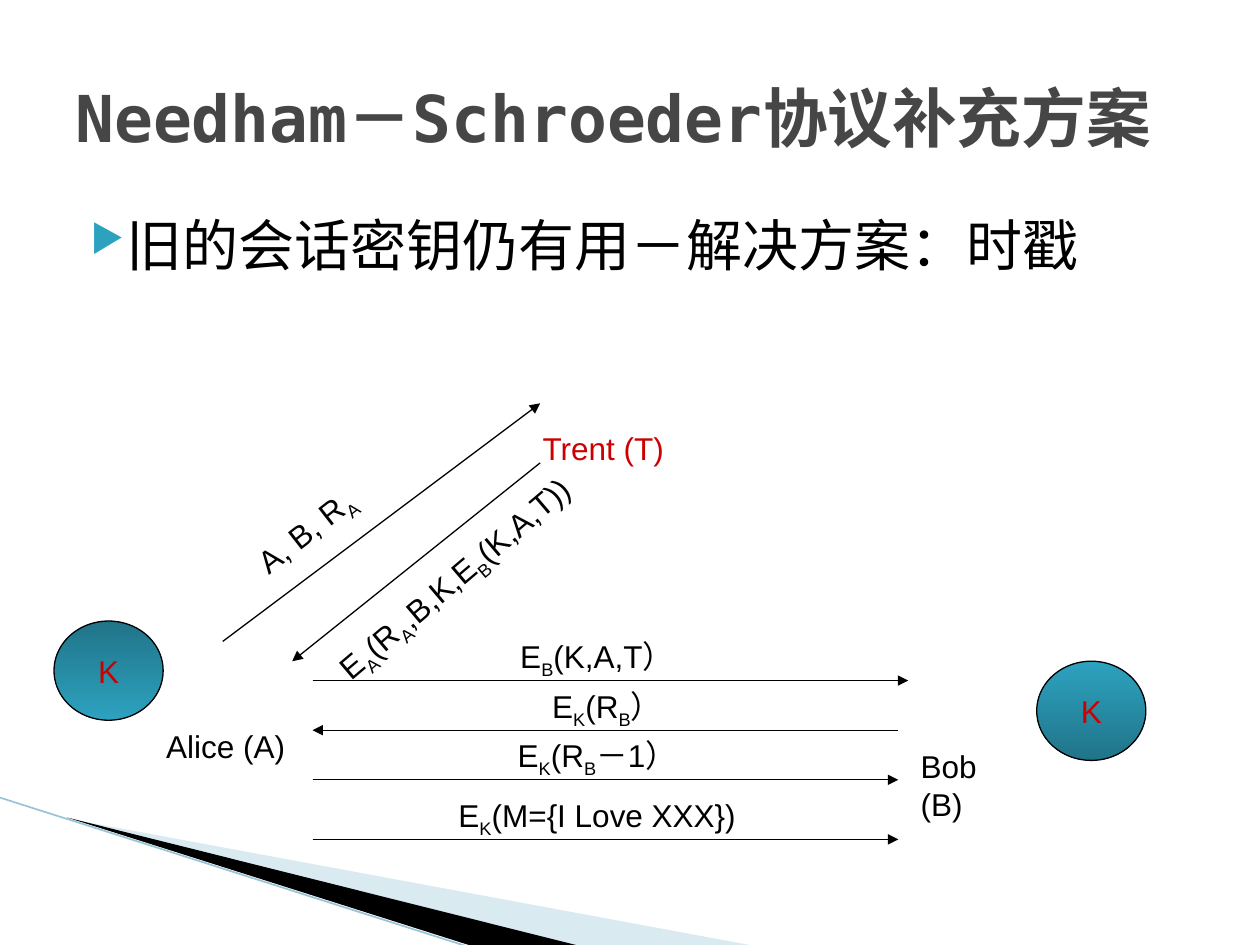
from lxml.etree import SubElement
from pptx import Presentation
from pptx.dml.color import RGBColor
from pptx.enum.shapes import MSO_CONNECTOR, MSO_SHAPE
from pptx.enum.text import MSO_ANCHOR, PP_ALIGN
from pptx.oxml.ns import qn
from pptx.util import Cm, Pt

COLORS = {
    "title": "464646",
    "ink": "000000",
    "accent": "2DA2BF",
    "accent_dark": "207489",
    "pale": "A0CBDC",
    "edge": "97C5D8",
    "red": "CC0000",
}
SANS, MONO = "Arial", "DejaVu Sans Mono"
LABEL_HEIGHT = 1.02


def color(name):
    return RGBColor.from_string(COLORS[name])


def style(paragraph, size=18, name=SANS, ink="ink", bold=False):
    font = paragraph.font
    font.size, font.name, font.bold = Pt(size), name, bold
    font.color.rgb = color(ink)


def add_text(slide, left, top, width, height, text, align=PP_ALIGN.LEFT, rotation=0):
    """Add a text box; every second part between bars is a subscript."""
    box = slide.shapes.add_textbox(Cm(left), Cm(top), Cm(width), Cm(height))
    box.rotation = rotation
    box.text_frame.word_wrap = True
    paragraph = box.text_frame.paragraphs[0]
    paragraph.alignment = align
    for index, part in enumerate(text.split("|")):
        if part:
            run = paragraph.add_run()
            run.text = part
            if index % 2:
                run._r.get_or_add_rPr().set("baseline", "-25000")
    style(paragraph)
    return box


def add_line(slide, start, end, ink="ink", width=0.75, arrow=True):
    points = [Cm(value) for value in (*start, *end)]
    line = slide.shapes.add_connector(MSO_CONNECTOR.STRAIGHT, *points)
    line.line.color.rgb = color(ink)
    line.line.width = Pt(width)
    if arrow:
        SubElement(line.line._get_or_add_ln(), qn("a:tailEnd"), type="triangle")
    SubElement(line._element.spPr, qn("a:effectLst"))


def add_wedge(slide, points, ink, alpha=None):
    corners = [(Cm(x), Cm(y)) for x, y in points]
    builder = slide.shapes.build_freeform(*corners[0])
    builder.add_line_segments(corners[1:], close=True)
    wedge = builder.convert_to_shape()
    wedge.shadow.inherit = False
    wedge.fill.solid()
    wedge.fill.fore_color.rgb = color(ink)
    wedge.line.fill.background()
    if alpha:
        tint = wedge._element.spPr.find(f"{qn('a:solidFill')}/{qn('a:srgbClr')}")
        SubElement(tint, qn("a:alpha"), val=str(alpha * 1000))


def add_corner(slide, left, top):
    """Swoosh in the bottom left corner."""
    def place(*points):
        return [(left + x, top + y) for x, y in points]

    add_wedge(slide, place((1.4, 0.43), (15.11, 2.97), (11.58, 2.97)), "pale", 40)
    add_wedge(slide, place((1.35, 0.4), (11.61, 2.97), (9.45, 2.97)), "ink")
    add_line(slide, *place((0, 0), (9.42, 3)), "edge", 0.95, False)


def add_title(slide, left, top, width, height):
    box = add_text(slide, left, top, width, height, "Needham－Schroeder协议补充方案")
    box.text_frame.vertical_anchor = MSO_ANCHOR.MIDDLE
    style(box.text_frame.paragraphs[0], 36.9, MONO, "title", True)


def add_body(slide, left, top, width, height):
    box = add_text(slide, left, top, width, height, "旧的会话密钥仍有用－解决方案：时戳")
    paragraph = box.text_frame.paragraphs[0]
    properties = paragraph._p.get_or_add_pPr()
    properties.set("marL", str(Cm(1.02)))
    properties.set("indent", str(Cm(-0.71)))
    bullet_color = SubElement(properties, qn("a:buClr"))
    SubElement(bullet_color, qn("a:srgbClr"), val=COLORS["accent"])
    SubElement(properties, qn("a:buSzPct"), val="68000")
    SubElement(properties, qn("a:buChar"), char="▶")
    style(paragraph, 32, MONO)


def add_key(slide, left, top, stops):
    """Round key held by one party."""
    key = slide.shapes.add_shape(MSO_SHAPE.OVAL, Cm(left), Cm(top), Cm(2.2), Cm(2))
    key.shadow.inherit = False
    key.fill.gradient()
    key.fill.gradient_angle = 270
    for stop, name in zip(key.fill.gradient_stops, stops):
        stop.color.rgb = color(name)
    key.line.color.rgb = color("ink")
    key.line.width = Pt(0.75)
    frame = key.text_frame
    frame.word_wrap = False
    frame.vertical_anchor = MSO_ANCHOR.MIDDLE
    paragraph = frame.paragraphs[0]
    paragraph.text = "K"
    paragraph.alignment = PP_ALIGN.CENTER
    style(paragraph, ink="red")


def add_server_exchange(slide, left, top):
    """Alice's request to Trent and his reply."""
    trent = add_text(slide, left + 6.2, top + 0.4, 3.2, LABEL_HEIGHT, "Trent (T)")
    style(trent.text_frame.paragraphs[0], ink="red")
    add_line(slide, (left, top + 4.8), (left + 6.4, top))
    add_text(slide, left + 0.2, top + 1.8, 3.61, LABEL_HEIGHT, "A, B, R|A|", rotation=322)
    add_line(slide, (left + 6.4, top + 1.2), (left + 1.4, top + 5.2))
    add_text(slide, left + 1.4, top + 2.79, 7.06, LABEL_HEIGHT,
             "E|A|(R|A|,B,K,E|B|(K,A,T))", rotation=319.7)


def add_messages(slide, left, top, width):
    """Messages between Alice and Bob, each label 1 cm above its arrow."""
    messages = [  # offset, label shift, extra length, towards Bob, label
        (0, 0, 0.2, True, "E|B|(K,A,T）"),
        (1, 0.2, 0, False, "E|K|(R|B|）"),
        (2, 0, 0, True, "E|K|(R|B|－1）"),
        (3.2, 0, 0, True, "E|K|(M={I Love XXX})"),
    ]
    for offset, shift, extra, to_bob, label in messages:
        ends = [(left, top + offset), (left + width + extra, top + offset)]
        add_line(slide, *(ends if to_bob else reversed(ends)))
        add_text(slide, left + 2.21 + shift, top + offset - 1, 7.06, LABEL_HEIGHT,
                 label, PP_ALIGN.CENTER)


def add_protocol(slide, left, top):
    """Whole protocol diagram."""
    add_server_exchange(slide, left + 3.4, top)
    add_messages(slide, left + 5.21, top + 5.59, 11.81)
    add_key(slide, left, top + 4.39, ("accent_dark", "accent"))
    add_text(slide, left + 2.01, top + 6.4, 3.2, LABEL_HEIGHT, "Alice (A)")
    add_key(slide, left + 19.81, top + 5.2, ("accent", "accent_dark"))
    add_text(slide, left + 17.22, top + 6.8, 2.59, LABEL_HEIGHT, "Bob (B)")


def main():
    presentation = Presentation()
    presentation.slide_width, presentation.slide_height = Cm(25.4), Cm(19.05)
    slide = presentation.slides.add_slide(presentation.slide_layouts[6])
    add_corner(slide, 0, 16.08)
    add_body(slide, 1.27, 4.11, 22.86, 12.57)
    add_title(slide, 1.27, 0.76, 22.86, 3.18)
    add_protocol(slide, 1.09, 8.13)
    presentation.save("out.pptx")


if __name__ == "__main__":
    main()
